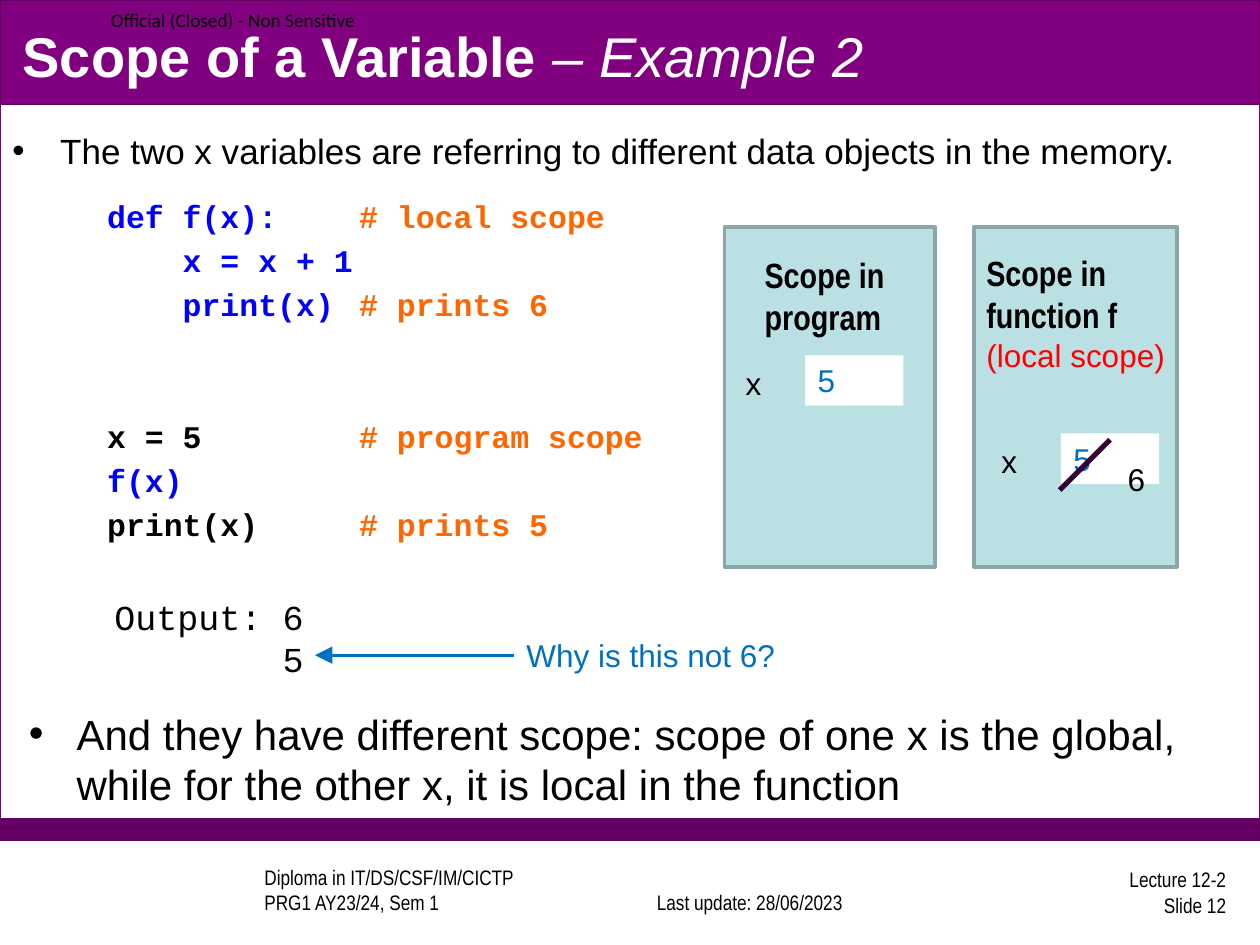
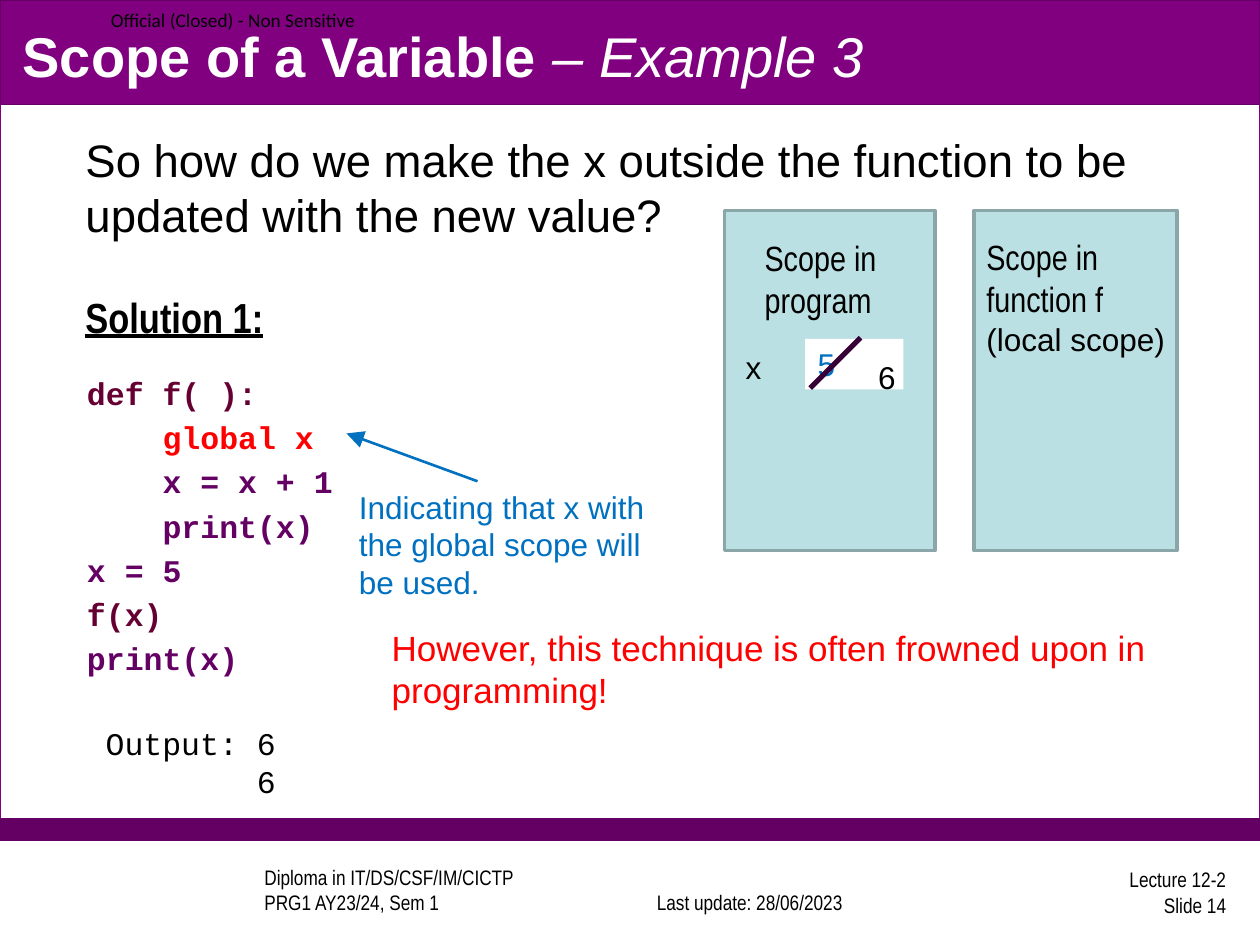
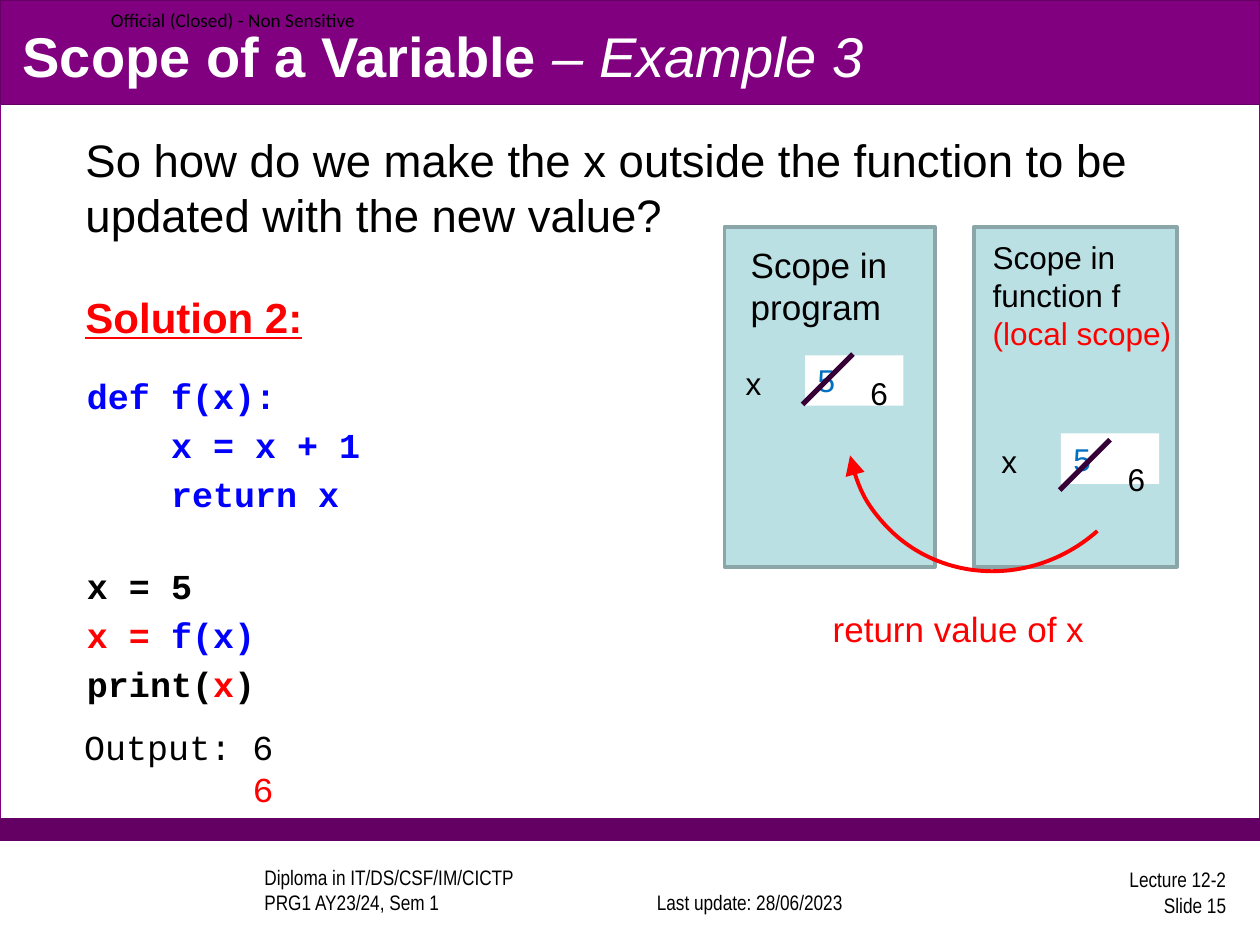
from dataclasses import dataclass

from lxml.etree import SubElement
from pptx import Presentation
from pptx.dml.color import RGBColor
from pptx.enum.shapes import MSO_CONNECTOR as Connector, MSO_SHAPE as Preset
from pptx.enum.text import MSO_ANCHOR as Anchor, MSO_AUTO_SIZE as AutoSize, PP_ALIGN as Align
from pptx.oxml.ns import qn
from pptx.util import Inches, Pt


@dataclass(frozen=True)
class Theme:
    # Colours
    white: str = "FFFFFF"
    black: str = "000000"
    band: str = "800080"
    dark_band: str = "640064"
    maroon: str = "660033"
    strike: str = "360036"
    code_blue: str = "0000FF"
    comment: str = "FF6600"
    note_blue: str = "0070C0"
    red: str = "FF0000"
    panel: str = "BBE0E3"
    panel_line: str = "8AA6A8"
    # Fonts
    sans: str = "Arial"
    narrow: str = "Arial Narrow"
    mono: str = "Courier New"
    tag_font: str = "Calibri"
    # Type sizes
    title: int = 32
    question: int = 26
    heading: int = 24
    large: int = 20
    normal: int = 18
    footer: int = 12
    tag: int = 11


THEME = Theme()


def lengths(*values):
    return [Inches(value) for value in values]


def format_font(font, size=THEME.normal, name=THEME.sans, color=THEME.black,
                bold=False, italic=False, underline=False):
    font.size, font.name = Pt(size), name
    font.color.rgb = RGBColor.from_string(color)
    font.bold, font.italic, font.underline = bold, italic, underline


def write(shape, text, anchor=Anchor.TOP, align=Align.LEFT, inset=None, gap=0,
          gaps=None, bullet=False, tab=None, **style):
    """Write paragraphs; each is a string or a list of strings and (string, style) parts."""
    frame = shape.text_frame
    frame.word_wrap, frame.auto_size, frame.vertical_anchor = True, AutoSize.NONE, anchor
    if inset is not None:
        frame.margin_left = frame.margin_right = Inches(inset)
        frame.margin_top = frame.margin_bottom = Inches(inset)
    for index, parts in enumerate([text] if isinstance(text, str) else text):
        paragraph = frame.add_paragraph() if index else frame.paragraphs[0]
        properties = paragraph._p.get_or_add_pPr()
        hanging = Inches(0.38) if bullet else 0
        properties.set("marL", str(hanging))
        properties.set("indent", str(-hanging))
        if tab:
            properties.set("defTabSz", str(Inches(tab)))
        if bullet:
            SubElement(properties, qn("a:buFont"), typeface=THEME.sans)
            SubElement(properties, qn("a:buChar"), char="•")
        else:
            SubElement(properties, qn("a:buNone"))
        paragraph.alignment = align
        paragraph.space_before = Pt((gaps or {}).get(index, gap) if index else 0)
        for part in [parts] if isinstance(parts, str) else parts:
            content, changes = (part, {}) if isinstance(part, str) else part
            run = paragraph.add_run()
            run.text = content
            format_font(run.font, **{**style, **changes})
    return shape


def style_line(shape, color, width, arrow=False):
    shape.line.color.rgb = RGBColor.from_string(color)
    shape.line.width = Pt(width)
    if arrow:
        outline = shape.element.find(qn("p:spPr")).find(qn("a:ln"))
        SubElement(outline, qn("a:tailEnd"), type="triangle", w="lg", len="lg")


class Deck:
    def __init__(self):
        self.presentation = Presentation()
        self.presentation.slide_width, self.presentation.slide_height = lengths(10, 7.5)
        self.slide = None

    # Basic elements
    def rectangle(self, box, fill, line=None, width=0.75):
        shape = self.slide.shapes.add_shape(Preset.RECTANGLE, *lengths(*box))
        shape.shadow.inherit = False
        shape.fill.solid()
        shape.fill.fore_color.rgb = RGBColor.from_string(fill)
        if line:
            style_line(shape, line, width)
        else:
            shape.line.fill.background()
        return shape

    def text(self, box, text, **style):
        return write(self.slide.shapes.add_textbox(*lengths(*box)), text, **style)

    def placeholder(self, shape, box, text, **style):
        shape.left, shape.top, shape.width, shape.height = lengths(*box)
        shape.element.getparent().append(shape.element)  # in front of the bands
        write(shape, text, **style)

    def line(self, start, end, color, width, arrow=False, begin=None):
        connector = self.slide.shapes.add_connector(
            Connector.STRAIGHT, *lengths(*start, *end))
        if begin:
            connector.begin_connect(*begin)
        style_line(connector, color, width, arrow)
        SubElement(connector.element.find(qn("p:spPr")), qn("a:effectLst"))

    def arc_arrow(self, box, rotation, angles, color, width):
        arc = self.slide.shapes.add_shape(Preset.ARC, *lengths(*box))
        arc.shadow.inherit = False
        arc.fill.background()
        arc.rotation = rotation
        arc.adjustments[0], arc.adjustments[1] = angles
        style_line(arc, color, width, arrow=True)

    # Slide frame
    def new_slide(self, example, number):
        self.slide = self.presentation.slides.add_slide(self.presentation.slide_layouts[1])
        self.rectangle((0, 0, 10, 6.67), THEME.white, THEME.band)
        self.rectangle((0, 6.5, 10, 0.17), THEME.dark_band, THEME.dark_band)
        self.rectangle((0, 0, 10, 0.83), THEME.band, THEME.dark_band)
        footer = dict(size=THEME.footer, name=THEME.narrow)
        self.text((2, 6.89, 2.67, 0.42), ["Diploma in IT/DS/CSF/IM/CICTP", "PRG1 AY23/24, Sem 1"],
                  anchor=Anchor.BOTTOM, **footer)
        self.text((4.91, 6.89, 2.08, 0.42), "Last update: 28/06/2023",
                  anchor=Anchor.BOTTOM, align=Align.CENTER, **footer)
        self.text((7.75, 6.87, 2.08, 0.42), ["Lecture 12-2", f"Slide {number}"],
                  anchor=Anchor.MIDDLE, align=Align.RIGHT, **footer)
        self.text((0.88, 0, 2.2, 0.31), "Official (Closed) - Non Sensitive",
                  anchor=Anchor.MIDDLE, inset=0, size=THEME.tag, name=THEME.tag_font)
        self.placeholder(
            self.slide.shapes.title, (0.08, 0.13, 9.83, 0.62),
            [["Scope of a Variable ", (f"– Example {example}", dict(bold=False, italic=True))]],
            anchor=Anchor.MIDDLE, size=THEME.title, color=THEME.white, bold=True)

    # Lesson elements
    def code(self, left, top, lines, **style):
        self.placeholder(self.slide.placeholders[1], (left, top, 5.75, 3.07), lines,
                         name=THEME.mono, bold=True, **style)

    def output(self, box, lines, size):
        write(self.rectangle(box, THEME.white), lines, size=size, name=THEME.mono)

    def question(self, solution, **style):
        self.text((0.58, 1, 9.08, 1.85),
                  ["So how do we make the x outside the function to be updated with the new value?",
                   [(solution, dict(size=THEME.heading, bold=True, underline=True, **style))]],
                  size=THEME.question, gap=28.8)

    def scope_panels(self, top):
        for left, width in ((5.75, 1.67), (7.73, 1.61)):
            self.rectangle((left, top, width, 2.7), THEME.panel, THEME.panel_line, 2)

    def variable(self, left, top, strike=None):
        """Show x holding 5; with a strike start, cross it out and show 6."""
        self.text((left - 0.57, top + 0.02, 1.2, 0.4), "x")
        write(self.rectangle((left, top, 0.78, 0.4), THEME.white), "5", color=THEME.note_blue)
        if strike:
            x, y = strike
            self.line(strike, (x - 0.4, y + 0.4), THEME.strike, 3)
            self.text((x + 0.04, y + 0.11, 0.78, 0.4), "6")


BLUE, RED = dict(color=THEME.code_blue), dict(color=THEME.red)
ORANGE = dict(color=THEME.comment)
FUNCTION_X = dict(left=8.42, top=3.44, strike=(8.81, 3.49))


def two_scopes(deck):
    deck.new_slide(2, 12)
    deck.text((0, 0.98, 9.8, 0.44),
              "The two x variables are referring to different data objects in the memory.",
              bullet=True, size=THEME.large)
    deck.code(0.75, 1.51, [
        [("def f(x):\t", BLUE), ("# local scope", ORANGE)],
        [("    x = x + 1", BLUE)],
        [("    print(x)\t", BLUE), ("# prints 6", ORANGE)],
        ["x = 5\t", ("# program scope", ORANGE)],
        [("f(x)", BLUE)],
        ["print(x)\t", ("# prints 5", ORANGE)],
    ], gap=3.6, gaps={3: 53.8}, tab=2)
    deck.output((0.81, 4.68, 2.83, 0.77), ["Output: 6", "        5"], THEME.large)
    why = deck.text((4.08, 5, 2.75, 0.4), "Why is this not 6?", color=THEME.note_blue)
    deck.line((4.08, 5.2), (2.5, 5.2), THEME.note_blue, 1.5, arrow=True, begin=(why, 1))

    deck.scope_panels(1.8)
    label = dict(size=THEME.large, name=THEME.narrow, bold=True)
    deck.text((5.97, 1.96, 1.2, 0.77), "Scope in program", **label)
    local = dict(size=THEME.normal, name=THEME.sans, bold=False, **RED)
    deck.text((7.73, 1.95, 1.76, 1.08), [["Scope in function f ", ("(local scope)", local)]], **label)
    deck.variable(6.39, 2.82)
    deck.variable(**FUNCTION_X)
    deck.text((0.13, 5.57, 9.71, 0.91),
              "And they have different scope: scope of one x is the global, "
              "while for the other x, it is local in the function",
              bullet=True, size=THEME.heading)


def global_solution(deck):
    deck.new_slide(3, 14)
    deck.question("Solution 1:", name=THEME.narrow)
    maroon = dict(color=THEME.maroon)
    deck.code(0.59, 2.92, [
        [("def f( ):", maroon)],
        [("    global x", RED)],
        "    x = x + 1",
        "    print(x)",
        "x = 5",
        [("f(x)", maroon)],
        "print(x)",
    ], gap=3.6, color=THEME.dark_band)
    deck.text((2.75, 3.82, 2.75, 1.01), "Indicating that x with the global scope will be used.",
              color=THEME.note_blue)
    deck.line((3.79, 3.82), (2.75, 3.44), THEME.note_blue, 1.5, arrow=True)

    deck.scope_panels(1.67)
    label = dict(size=THEME.large, name=THEME.narrow)
    deck.text((5.97, 1.83, 1.2, 0.77), "Scope in program", **label)
    local = dict(size=THEME.normal, name=THEME.sans)
    deck.text((7.73, 1.82, 1.68, 1.08), [["Scope in function f", (" (local scope)", local)]], **label)
    deck.variable(6.39, 2.69, strike=(6.83, 2.68))
    deck.text((3.01, 4.92, 6.91, 0.77),
              "However, this technique is often frowned upon in programming!",
              size=THEME.large, **RED)
    deck.output((0.74, 5.7, 2, 0.71), ["Output: 6", "        6"], THEME.normal)


def return_solution(deck):
    deck.new_slide(3, 15)
    deck.question("Solution 2:", **RED)
    deck.code(0.59, 2.92, [
        [("def f(x):", BLUE)],
        [("    x = x + 1", BLUE)],
        [("    return x", BLUE)],
        "x = 5",
        [("x = ", RED), ("f(x)", BLUE)],
        ["print(", ("x", RED), ")"],
    ], gap=4, gaps={3: 28.8}, size=THEME.large)

    deck.scope_panels(1.8)
    deck.text((5.86, 1.88, 1.45, 0.77), "Scope in program", size=THEME.large)
    deck.text((7.78, 1.84, 1.84, 1.01), [["Scope in function f ", ("(local scope)", RED)]])
    deck.variable(6.39, 2.82, strike=(6.77, 2.81))
    deck.variable(**FUNCTION_X)
    deck.arc_arrow((6.7, 2.16, 2.46, 2.35), 138.5, (162, 16.9), THEME.red, 2.25)
    deck.text((6.51, 4.77, 2.42, 0.44), "return value of x", size=THEME.large, **RED)
    deck.output((0.57, 5.71, 2, 0.77), ["Output: 6", ["        ", ("6", RED)]], THEME.large)


def main():
    deck = Deck()
    for build in (two_scopes, global_solution, return_solution):
        build(deck)
    deck.presentation.save("out.pptx")


if __name__ == "__main__":
    main()
